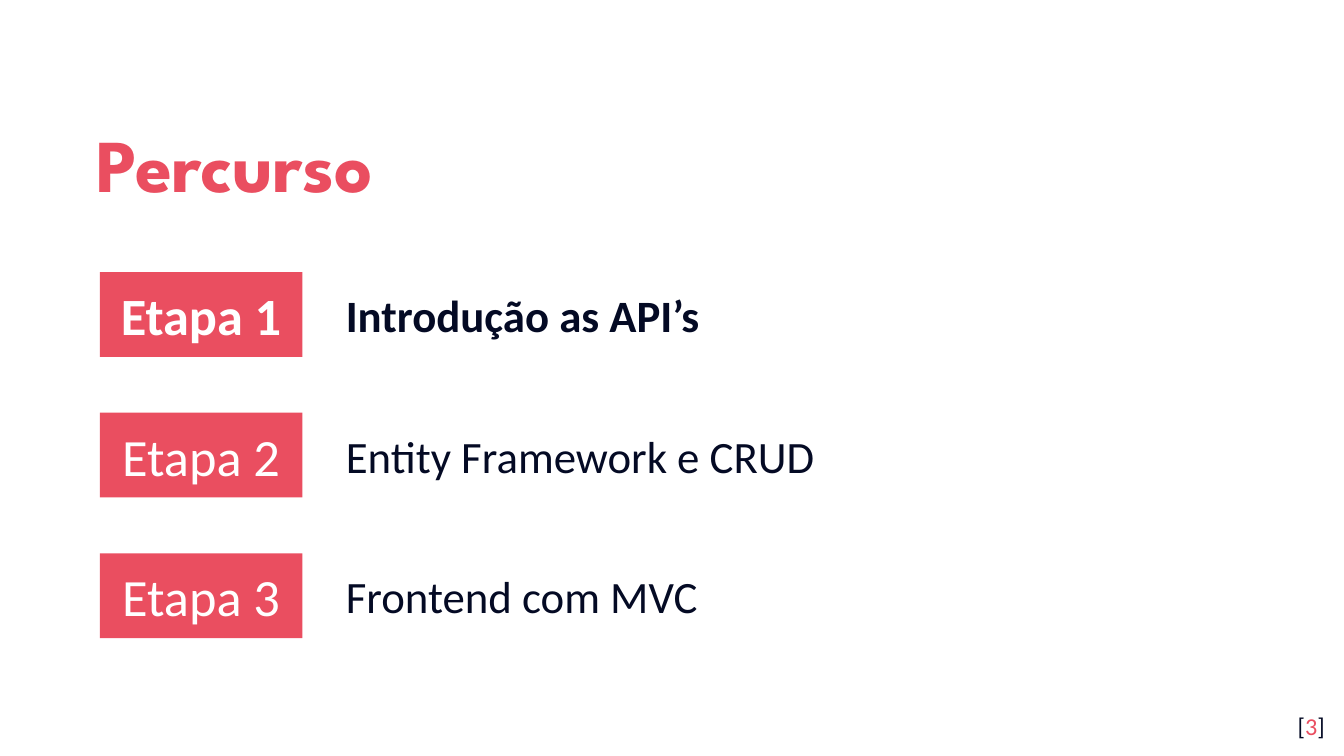
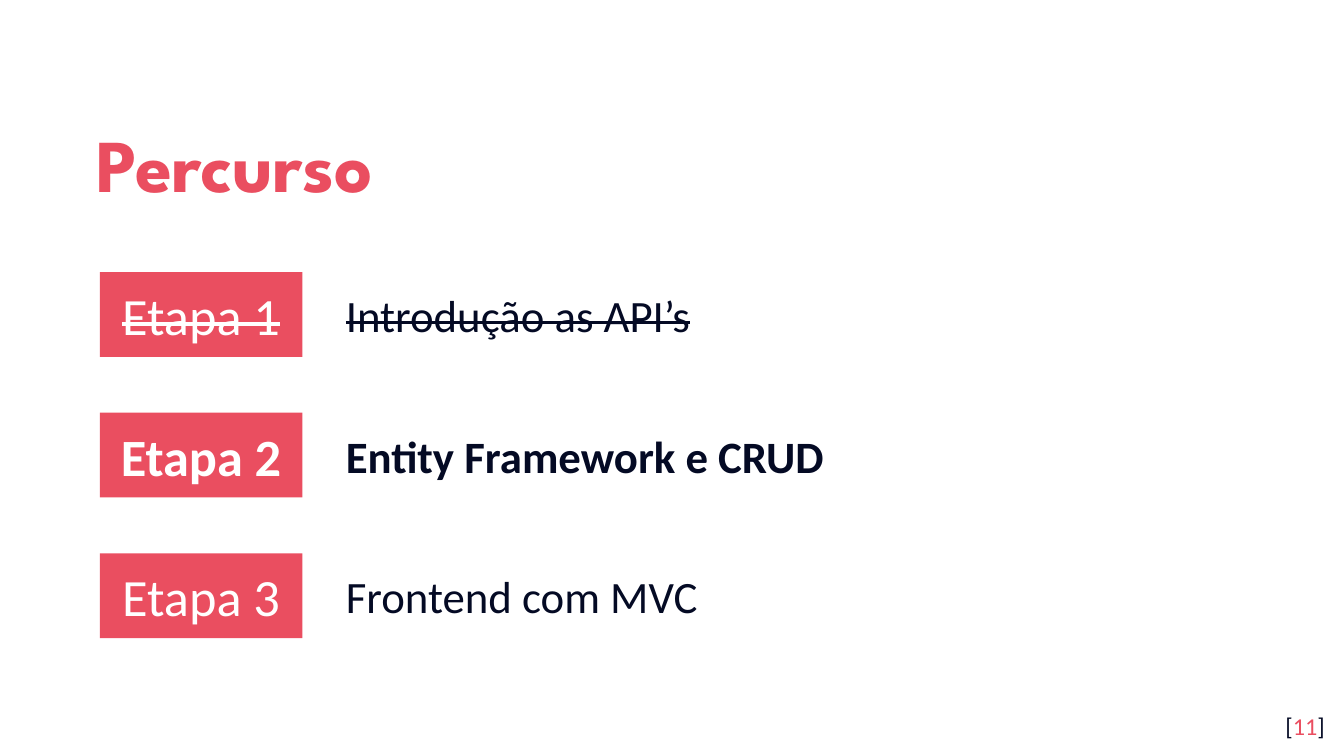
from pptx import Presentation
from pptx.dml.color import RGBColor
from pptx.enum.shapes import MSO_SHAPE
from pptx.enum.text import MSO_ANCHOR, MSO_AUTO_SIZE, PP_ALIGN
from pptx.util import Inches, Pt

RECTANGLE = MSO_SHAPE.RECTANGLE
TOP, MIDDLE = MSO_ANCHOR.TOP, MSO_ANCHOR.MIDDLE
LEFT, CENTER, RIGHT = PP_ALIGN.LEFT, PP_ALIGN.CENTER, PP_ALIGN.RIGHT
NO_AUTOFIT = MSO_AUTO_SIZE.NONE

# Shared style
CORAL = RGBColor(0xEA, 0x4E, 0x60)
NAVY = RGBColor(0x04, 0x0A, 0x24)
WHITE = RGBColor(0xFF, 0xFF, 0xFF)
TITLE_FONT, BODY_FONT = "League Spartan", "Calibri"
TITLE_ONLY = 5

# Stage rows: label and label width
STAGES = [
    ("Introdução as API’s", 9),
    ("Entity Framework e CRUD", 9.47),
    ("Frontend com MVC", 9),
]
FIRST_TOP, LAST_TOP = 2.7, 5.49
ROW_STEP = (LAST_TOP - FIRST_TOP) / (len(STAGES) - 1)
BADGE_HEIGHT, LABEL_HEIGHT = 0.84, 0.67
LABEL_LEFT = 3.3


def add_span(para, text, size, color, font=BODY_FONT, bold=False, strike=False):
    """Append one formatted run to a paragraph."""
    span = para.add_run()
    span.text = text
    span.font.name = font
    span.font.size = Pt(size)
    span.font.color.rgb = color
    span.font.bold = bold
    if strike:
        span.font._element.set("strike", "sngStrike")


class Deck:
    def __init__(self):
        self.file = Presentation()
        self.file.slide_width = Inches(13.33)
        self.file.slide_height = Inches(7.5)
        self.page = None

    def add_page(self, title, number):
        layout = self.file.slide_layouts[TITLE_ONLY]
        self.page = self.file.slides.add_slide(layout)
        self.page.background.fill.solid()
        self.page.background.fill.fore_color.rgb = WHITE
        self.add_title(title)
        self.add_number(number)

    def set_frame(self, box, align, anchor=MIDDLE, inset=0.13):
        """Set the text frame of a box and return its first paragraph."""
        frame = box.text_frame
        frame.word_wrap = True
        frame.auto_size = NO_AUTOFIT
        frame.vertical_anchor = anchor
        frame.margin_left = frame.margin_right = Inches(0.13)
        frame.margin_top = frame.margin_bottom = Inches(inset)
        para = frame.paragraphs[0]
        para.alignment = align
        return para

    def add_title(self, text):
        box = self.page.shapes.title
        box.left, box.top = Inches(0.83), Inches(0.93)
        box.width, box.height = Inches(10.81), Inches(1.23)
        para = self.set_frame(box, LEFT)
        para.line_spacing = 1.15
        add_span(para, text, 53.3, CORAL, font=TITLE_FONT, bold=True)

    def add_number(self, number):
        box = self.page.shapes.add_textbox(
            Inches(12.47), Inches(6.93), Inches(0.8), Inches(0.57))
        para = self.set_frame(box, RIGHT, anchor=TOP)
        for text, color in [("[", NAVY), (str(number), CORAL), ("]", NAVY)]:
            add_span(para, text, 17.3, color)

    def add_badge(self, text, top, **style):
        box = self.page.shapes.add_shape(
            RECTANGLE, Inches(0.99), Inches(top), Inches(2.01), Inches(BADGE_HEIGHT))
        box.shadow.inherit = False
        box.fill.solid()
        box.fill.fore_color.rgb = CORAL
        box.line.fill.background()
        add_span(self.set_frame(box, CENTER), text, 37.4, WHITE, **style)

    def add_label(self, text, top, width, **style):
        """Place a label in an unfilled outline."""
        left, right = Inches(LABEL_LEFT), Inches(LABEL_LEFT + width)
        upper, lower = Inches(top), Inches(top + LABEL_HEIGHT)
        outline = self.page.shapes.build_freeform(left, upper)
        outline.add_line_segments([(right, upper), (right, lower), (left, lower)])
        box = outline.convert_to_shape()
        box.shadow.inherit = False
        box.fill.background()
        box.line.fill.background()
        para = self.set_frame(box, LEFT, anchor=TOP, inset=0.07)
        add_span(para, text, 32, NAVY, **style)

    def add_stages(self, current):
        """Strike out finished stages and set the current one in bold."""
        for index, (label, width) in enumerate(STAGES):
            stage = index + 1
            style = {"bold": stage == current, "strike": stage < current}
            top = FIRST_TOP + index * ROW_STEP
            label_top = top + (BADGE_HEIGHT - LABEL_HEIGHT) / 2
            self.add_badge(f"Etapa {stage}", top, **style)
            self.add_label(label, label_top, width, **style)


def main():
    deck = Deck()
    for number, current in [(3, 1), (11, 2)]:
        deck.add_page("Percurso", number)
        deck.add_stages(current)
    deck.file.save("out.pptx")


if __name__ == "__main__":
    main()
